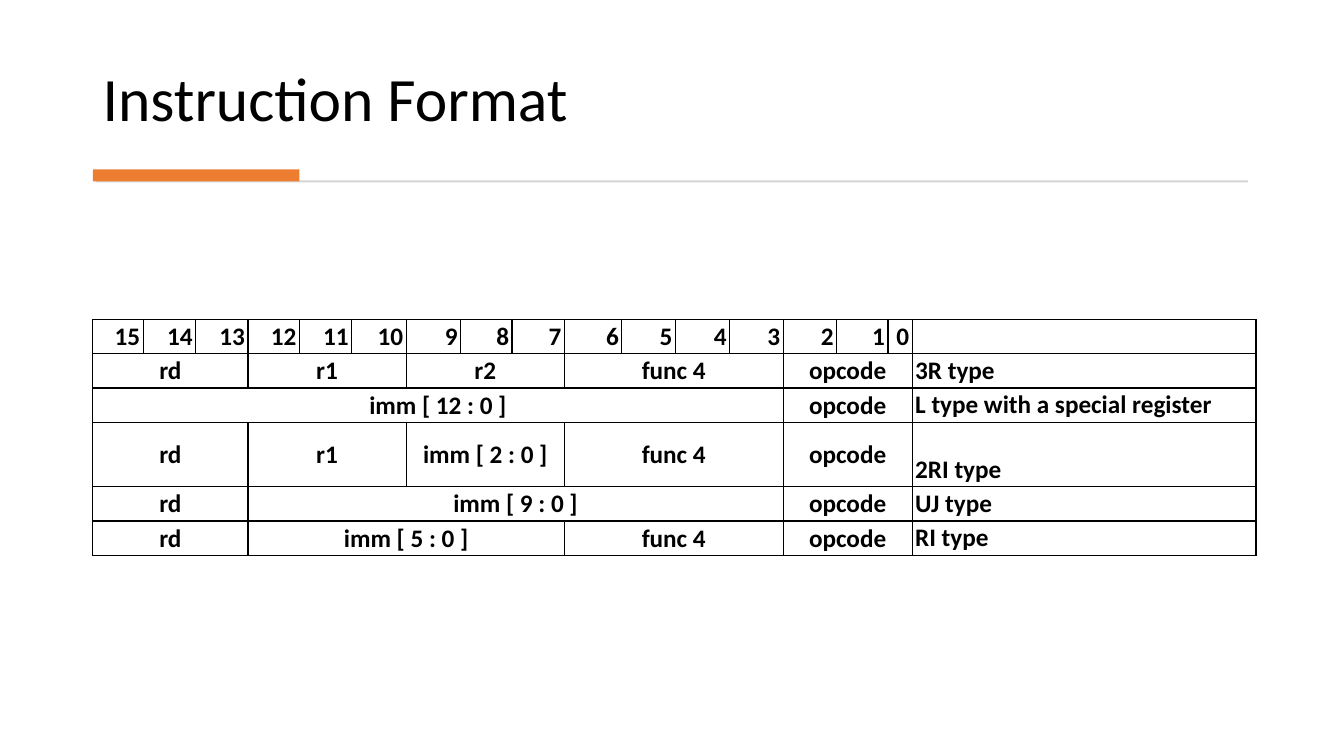
from lxml import etree
from pptx import Presentation
from pptx import util as u
from pptx.dml.color import RGBColor
from pptx.enum import shapes, text
from pptx.oxml import ns

FONT = "Calibri"
COLORS = {"ink": "000000", "rule": "D5D5D5", "accent": "ED7D31"}

BIT_WIDTHS = [0.5, 0.52, 0.52, 0.51, 0.52, 0.54, 0.54, 0.51, 0.52,
              0.57, 0.53, 0.54, 0.53, 0.53, 0.51, 0.24]
TYPE_WIDTH = 3.41
ROW_HEIGHTS = [0.34, 0.34, 0.34, 0.64, 0.34, 0.34]

# Each format: its fields as (name, number of bits), then its type.
FORMATS = [
    ([("rd", 3), ("r1", 3), ("r2", 3), ("func 4", 4), ("opcode", 3)], "3R type"),
    ([("imm [ 12 : 0 ]", 13), ("opcode", 3)], "L type with a special register"),
    ([("rd", 3), ("r1", 3), ("imm [ 2 : 0 ]", 3), ("func 4", 4), ("opcode", 3)], "2RI type"),
    ([("rd", 3), ("imm [ 9 : 0 ]", 10), ("opcode", 3)], "UJ type"),
    ([("rd", 3), ("imm [ 5 : 0 ]", 6), ("func 4", 4), ("opcode", 3)], "RI type"),
]


def add_span(para, words, size, bold=False):
    span = para.add_run()
    span.text = words
    span.font.name = FONT
    span.font.size = u.Pt(size)
    span.font.bold = bold
    span.font.color.rgb = RGBColor.from_string(COLORS["ink"])


def add_title(page, words):
    box = page.shapes.add_textbox(u.Inches(0.92), u.Inches(0.28), u.Inches(11.49), u.Inches(1.11))
    frame = box.text_frame
    frame.word_wrap = True
    frame.vertical_anchor = text.MSO_ANCHOR.BOTTOM
    para = frame.paragraphs[0]
    para.line_spacing = 0.9
    para.space_after = u.Pt(6)
    add_span(para, words, 44)


def add_bar(page, left, top, width, height, color):
    bar = page.shapes.add_shape(shapes.MSO_SHAPE.RECTANGLE, u.Inches(left), u.Inches(top),
                                u.Inches(width), u.Inches(height))
    bar.shadow.inherit = False
    bar.fill.solid()
    bar.fill.fore_color.rgb = RGBColor.from_string(COLORS[color])
    bar.line.fill.background()


def style_cell(cell):
    """Give a cell thin margins, no fill and a black border on every side."""
    cell.margin_left = cell.margin_right = u.Inches(0.03)
    cell.margin_top = cell.margin_bottom = u.Inches(0.02)
    properties = cell._tc.get_or_add_tcPr()
    for side in ("a:lnL", "a:lnR", "a:lnT", "a:lnB"):
        line = etree.SubElement(properties, ns.qn(side), w=str(u.Pt(1)))
        fill = etree.SubElement(line, ns.qn("a:solidFill"))
        etree.SubElement(fill, ns.qn("a:srgbClr"), val=COLORS["ink"])
    cell.fill.background()


def write_cell(cell, words, align, anchor):
    cell.vertical_anchor = anchor
    para = cell.text_frame.paragraphs[0]
    para.alignment = align
    add_span(para, words, 18, bold=True)


def add_format_table(page):
    widths = BIT_WIDTHS + [TYPE_WIDTH]
    bits = len(BIT_WIDTHS)
    frame = page.shapes.add_table(len(ROW_HEIGHTS), len(widths), u.Inches(0.92), u.Inches(3.17),
                                  u.Inches(sum(widths)), u.Inches(sum(ROW_HEIGHTS)))
    table = frame.table
    table.first_row = table.horz_banding = False
    for column, width in zip(table.columns, widths):
        column.width = u.Inches(width)
    for row, height in zip(table.rows, ROW_HEIGHTS):
        row.height = u.Inches(height)
    for cell in table.iter_cells():
        style_cell(cell)

    align, anchor = text.PP_ALIGN, text.MSO_ANCHOR
    for column in range(bits):
        write_cell(table.cell(0, column), str(bits - 1 - column), align.RIGHT, anchor.BOTTOM)
    for row, (fields, kind) in enumerate(FORMATS, start=1):
        column = 0
        for name, size in fields:
            cell = table.cell(row, column)
            cell.merge(table.cell(row, column + size - 1))
            write_cell(cell, name, align.CENTER, anchor.MIDDLE)
            column += size
        write_cell(table.cell(row, bits), kind, align.LEFT, anchor.BOTTOM)


def main():
    deck = Presentation()
    deck.slide_width, deck.slide_height = u.Inches(13.33), u.Inches(7.5)
    page = deck.slides.add_slide(deck.slide_layouts[6])
    add_title(page, "Instruction Format")
    add_bar(page, 0.95, 1.79, 11.43, 0.02, "rule")
    add_bar(page, 0.92, 1.68, 2.05, 0.12, "accent")
    add_format_table(page)
    deck.save("out.pptx")


if __name__ == "__main__":
    main()
